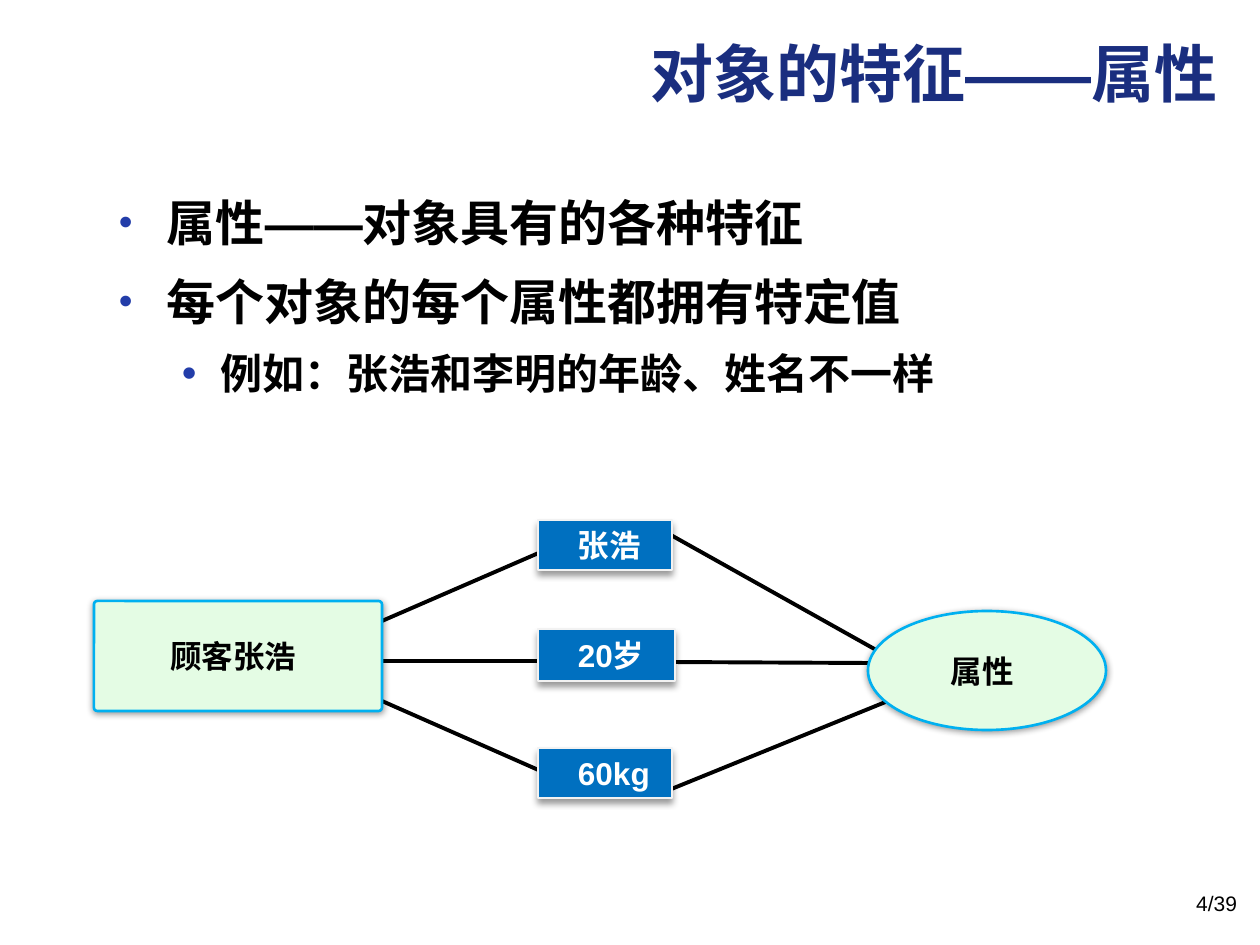
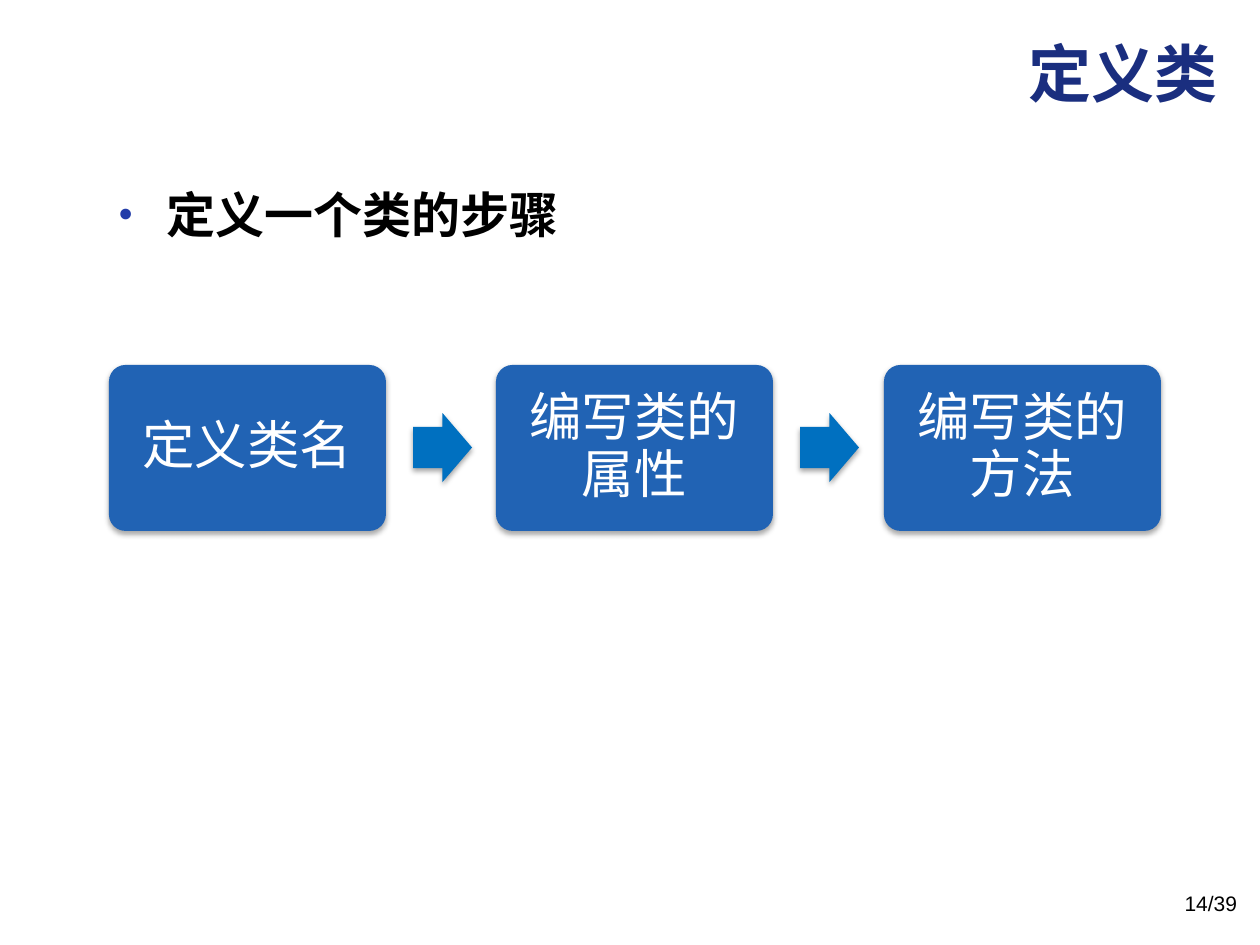
from lxml import etree
from pptx import Presentation
from pptx.dml.color import RGBColor
from pptx.enum.shapes import MSO_CONNECTOR, MSO_SHAPE
from pptx.enum.text import MSO_ANCHOR, PP_ALIGN
from pptx.oxml.ns import qn
from pptx.util import Emu, Pt

LEFT, MID, RIGHT = PP_ALIGN.LEFT, PP_ALIGN.CENTER, PP_ALIGN.RIGHT
ROUND, OVAL, ARROW = MSO_SHAPE.ROUNDED_RECTANGLE, MSO_SHAPE.OVAL, MSO_SHAPE.RIGHT_ARROW
STRAIGHT = MSO_CONNECTOR.STRAIGHT
PX = 914400 / 126
FONT = "Arial"
HEX = {
    "title": "1A2E7F", "bullet": "233DA9", "black": "000000", "white": "FFFFFF",
    "blue": "0070C0", "step": "2163B4", "edge": "F2F2F2", "mint": "E4FCE4", "sky": "00B0F0",
}


def write(box, lines, size, color="black", bold=False, align=LEFT,
          anchor=MSO_ANCHOR.TOP, pads=(13, 6, 13, 6)):
    """Fill a box with paragraphs; pads are left, top, right, bottom."""
    frame = box.text_frame
    frame.word_wrap = True
    frame.vertical_anchor = anchor
    frame.margin_left, frame.margin_top, frame.margin_right, frame.margin_bottom = [
        Emu(round(pad * PX)) for pad in pads]
    frame.text = "\n".join(lines)
    for para in frame.paragraphs:
        para.alignment = align
        for run in para.runs:
            font = run.font
            font.name, font.size, font.bold = FONT, Pt(size), bold
            font.color.rgb = RGBColor.from_string(HEX[color])
            east = etree.Element(qn("a:ea"), typeface=FONT)
            run._r.rPr.find(qn("a:latin")).addnext(east)
    return frame


def draw(slide, kind, area, fill, edge=None, width=0, adjust=(), shade=(40, 4, 3)):
    """Add a preset shape; shade is opacity in percent, blur and drop in points."""
    shape = slide.shapes.add_shape(kind, *[Emu(round(n * PX)) for n in area])
    for i, ratio in enumerate(adjust):
        shape.adjustments[i] = ratio
    shape.fill.solid()
    shape.fill.fore_color.rgb = RGBColor.from_string(HEX[fill])
    if edge:
        shape.line.color.rgb = RGBColor.from_string(HEX[edge])
        shape.line.width = Pt(width)
    else:
        shape.line.fill.background()
    shape.shadow.inherit = False
    alpha, blur, drop = shade
    effects = shape._element.spPr.find(qn("a:effectLst"))
    outer = etree.SubElement(effects, qn("a:outerShdw"), blurRad=str(Pt(blur)),
                             dist=str(Pt(drop)), dir="5400000", rotWithShape="0")
    tint = etree.SubElement(outer, qn("a:srgbClr"), val=HEX["black"])
    etree.SubElement(tint, qn("a:alpha"), val=str(alpha * 1000))
    return shape


deck = Presentation()
deck.slide_width, deck.slide_height = Emu(round(1260 * PX)), Emu(round(945 * PX))

# Title, bullets as (level, text), line spacing, page number
pages = [
    ("对象的特征——属性",
     [(0, "属性——对象具有的各种特征"),
      (0, "每个对象的每个属性都拥有特定值"),
      (1, "例如：张浩和李明的年龄、姓名不一样")], 1.15, "4/39"),
    ("定义类", [(0, "定义一个类的步骤")], 1.0, "14/39"),
]
# Left margin, hanging indent, bullet percent, text size, space before
levels = [(48, 48, 80, 28, 6.5), (102, 39, 100, 24, 5.5)]

slides = []
for title, points, gap, number in pages:
    slide = deck.slides.add_slide(deck.slide_layouts[6])
    slides.append(slide)
    head, body, foot = [
        slide.shapes.add_textbox(*[Emu(round(n * PX)) for n in area])
        for area in [(97, 29, 1134, 100), (106, 178, 1134, 624), (956, 885, 294, 50)]]
    write(head, [title], 36, "title", True, RIGHT)
    write(foot, [number], 12, align=RIGHT)
    frame = write(body, [text for _, text in points], 28, bold=True)
    for i, (para, (level, _)) in enumerate(zip(frame.paragraphs, points)):
        margin, hang, scale, size, before = levels[level]
        props = para._p.get_or_add_pPr()
        props.set("marL", str(round(margin * PX)))
        props.set("indent", str(round(-hang * PX)))
        para.level = level
        para.line_spacing = gap
        if i:
            para.space_before = Pt(before)
        tint = etree.SubElement(props, qn("a:buClr"))
        etree.SubElement(tint, qn("a:srgbClr"), val=HEX["bullet"])
        etree.SubElement(props, qn("a:buSzPct"), val=str(scale * 1000))
        etree.SubElement(props, qn("a:buFont"), typeface=FONT)
        etree.SubElement(props, qn("a:buChar"), char="•")
        para.runs[0].font.size = Pt(size)

# Slide 1: a customer, the values and the attribute they belong to
slide = slides[0]
links = [
    (669, 662, 868, 663), (669, 534, 878, 651), (669, 790, 888, 701),
    (382, 621, 541, 552), (382, 661, 541, 661), (382, 701, 561, 780),
]
for ends in links:
    link = slide.shapes.add_connector(STRAIGHT, *[Emu(round(n * PX)) for n in ends])
    link.line.color.rgb = RGBColor.from_string(HEX["black"])
    link.line.width = Pt(2.25)
    etree.SubElement(link._element.spPr, qn("a:effectLst"))

values = [("张浩", 520, 134, 50), ("20岁", 629, 137, 52), ("60kg", 748, 134, 50)]
for text, top, wide, high in values:
    box = draw(slide, ROUND, (538, top, wide, high), "blue", "edge", 0.75, [0])
    write(box, [text], 18, "white", True, anchor=MSO_ANCHOR.MIDDLE, pads=(40, 6, 0, 6))

nodes = [
    ("顾客张浩", ROUND, (94, 601, 288, 110), [0.03]),
    ("属性", OVAL, (868, 611, 238, 119), []),
]
for text, kind, area, adjust in nodes:
    node = draw(slide, kind, area, "mint", "sky", 1.5, adjust, (40, 4, 1))
    write(node, [text], 18, "black", True, MID, MSO_ANCHOR.MIDDLE, (13, 6, 22, 6))

# Slide 2: three steps with arrows between them
slide = slides[1]
soft = (35, 3.1, 1.8)
steps = ["定义类名", "编写类的属性", "编写类的方法"]
for i, text in enumerate(steps):
    shift = 775 * i // 2
    step = draw(slide, ROUND, (109 + shift, 365, 277, 166), "step", adjust=[0.1], shade=soft)
    frame = write(step, [text], 30, "white", align=MID, anchor=MSO_ANCHOR.MIDDLE, pads=[15] * 4)
    frame.paragraphs[0].line_spacing = 0.9
    if i < len(steps) - 1:
        draw(slide, ARROW, (413 + shift, 413, 59, 69), "blue", adjust=[0.6, 0.5], shade=soft)

deck.save("out.pptx")
